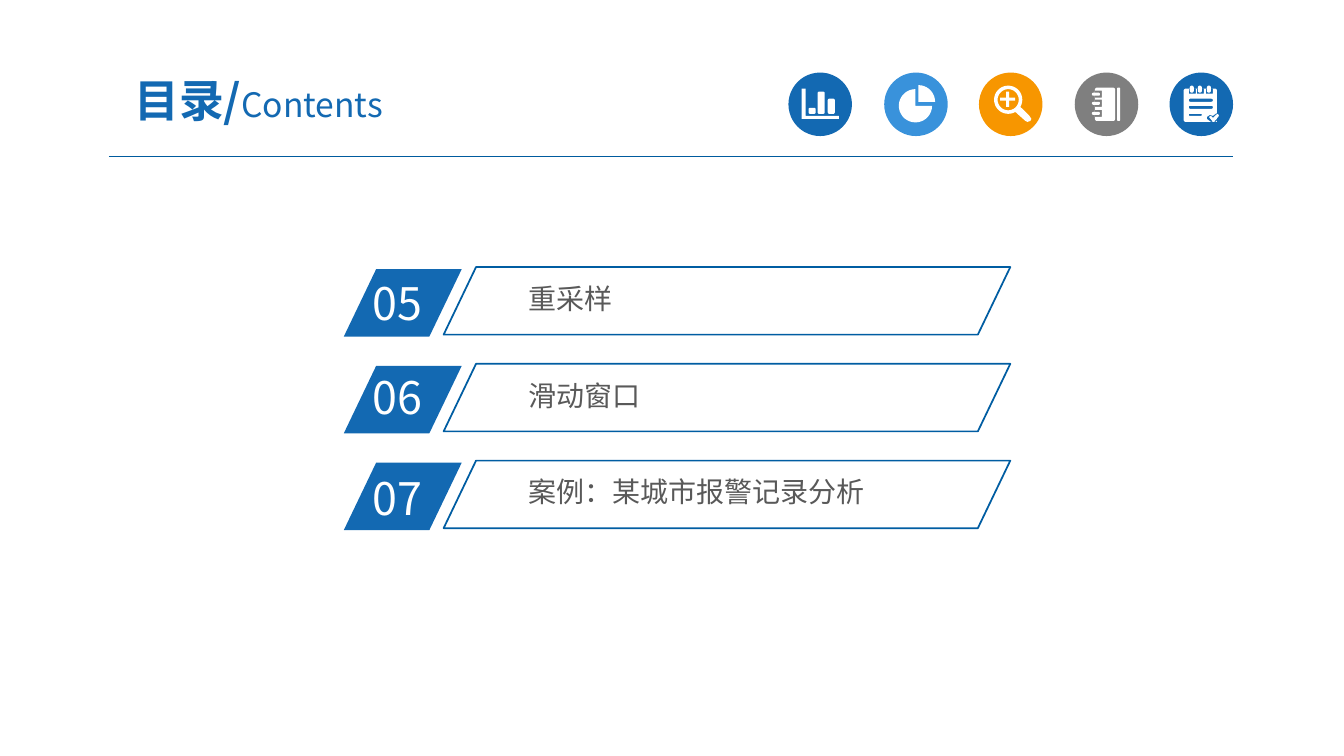
import dataclasses
import math

import lxml.etree
import pptx
import pptx.dml.color
import pptx.enum.shapes
import pptx.enum.text
import pptx.oxml.ns
import pptx.util

PX = 9144  # EMU per px, 100 px to the inch
FONT = "Noto Sans CJK SC"
COLORS = {
    "blue": "1369B2", "sky": "3992DB", "orange": "F79600", "gray": "7F7F7F",
    "rule": "005B9E", "frame": "005DA2", "text": "595959", "white": "FFFFFF",
}
SHAPE = pptx.enum.shapes.MSO_SHAPE
Contour = list[tuple[float, float]]


@dataclasses.dataclass(frozen=True)
class Badge:
    color: str
    icon: list[Contour]


@dataclasses.dataclass(frozen=True)
class Chapter:
    number: str
    name: str
    number_shift: int  # px from the top of the number plate


def px(length: float) -> pptx.util.Emu:
    return pptx.util.Emu(round(length * PX))


def rgb(color: str) -> pptx.dml.color.RGBColor:
    return pptx.dml.color.RGBColor.from_string(COLORS[color])


# Icon outlines, in px from the corner of the badge; overlaps become holes
def arc(x: float, y: float, radius: float, start: int = 0, end: int = 360) -> Contour:
    angles = [math.radians(angle) for angle in range(start, end + 1, 10)]
    return [(x + radius * math.cos(a), y + radius * math.sin(a)) for a in angles]


def bar(left: int, top: int, right: int, bottom: int, radius: float = 0) -> Contour:
    if not radius:
        return [(left, top), (right, top), (right, bottom), (left, bottom)]
    x1, x2, y1, y2 = left + radius, right - radius, top + radius, bottom - radius
    return (arc(x1, y1, radius, 180, 270) + arc(x2, y1, radius, 270, 360)
            + arc(x2, y2, radius, 0, 90) + arc(x1, y2, radius, 90, 180))


CHART = [
    [(13, 16), (17, 16), (17, 43), (50, 43), (50, 46), (13, 46)],
    bar(20, 35, 27, 41, 1.5), bar(29, 19, 36, 41, 1.5), bar(39, 26, 46, 41, 1.5),
]
PIE = [[(34, 29)] + arc(34, 29, 16.5, 270, 360), [(31, 33)] + arc(31, 33, 16.5, 0, 270)]
MAGNIFIER = [
    arc(29, 27, 14), arc(29, 27, 10.5),
    bar(21, 25, 36, 28), bar(27, 19, 30, 25), bar(27, 28, 30, 34),
    [(41, 34), (50, 43), (52, 46), (51, 48), (48, 49), (46, 48), (36, 39), (39, 37)],
]
NOTEBOOK = [bar(20, 15, 40, 48, 2), bar(42, 15, 45, 48, 1)]
for ring_top in (20, 29, 39):
    NOTEBOOK += [bar(20, ring_top - 2, 27, ring_top + 5),
                 bar(17, ring_top, 25, ring_top + 3, 1.5)]
NOTEPAD = [
    bar(14, 16, 47, 49, 2),
    bar(19, 26, 43, 29, 1.5), bar(19, 33, 43, 36, 1.5), bar(19, 41, 32, 43, 1),
    [(47, 40), (43, 43), (40, 42), (37, 44), (37, 46), (41, 49), (47, 49)],
    [(39, 44), (41, 43), (43, 45), (46, 42), (48, 41), (49, 43), (44, 49), (43, 49)],
]
for ring_left in (20, 28, 37):
    NOTEPAD += [bar(ring_left - 1, 16, ring_left + 6, 21),
                bar(ring_left, 13, ring_left + 4, 20, 2)]

BADGES = [
    Badge("blue", CHART), Badge("sky", PIE), Badge("orange", MAGNIFIER),
    Badge("gray", NOTEBOOK), Badge("blue", NOTEPAD),
]
CHAPTERS = [
    Chapter("05", "重采样", 2),
    Chapter("06", "滑动窗口", -1),
    Chapter("07", "案例：某城市报警记录分析", 3),
]


def set_font(paragraph, color: str, size: int | None = None) -> None:
    paragraph.font.name = FONT
    paragraph.font.color.rgb = rgb(color)
    if size:
        paragraph.font.size = pptx.util.Pt(size)
    defaults = paragraph._p.pPr.find(pptx.oxml.ns.qn("a:defRPr"))
    east_asian = lxml.etree.SubElement(defaults, pptx.oxml.ns.qn("a:ea"))
    east_asian.set("typeface", FONT)


def paint(shape, fill: str | None = None, line: str | None = None) -> None:
    shape.shadow.inherit = False
    if fill:
        shape.fill.solid()
        shape.fill.fore_color.rgb = rgb(fill)
    else:
        shape.fill.background()
    if line:
        shape.line.color.rgb = rgb(line)
        shape.line.width = pptx.util.Pt(1.25)
    else:
        shape.line.fill.background()


def add_shape(slide, kind: SHAPE, left: int, top: int, width: int, height: int):
    return slide.shapes.add_shape(kind, px(left), px(top), px(width), px(height))


def add_label(slide, text: str, left: int, top: int, width: int, height: int,
              size: int, color: str, inset: tuple[int, int]) -> None:
    label = slide.shapes.add_textbox(px(left), px(top), px(width), px(height))
    frame = label.text_frame
    frame.word_wrap = True
    frame.auto_size = pptx.enum.text.MSO_AUTO_SIZE.SHAPE_TO_FIT_TEXT
    frame.margin_left = frame.margin_right = px(inset[0])
    frame.margin_top = frame.margin_bottom = px(inset[1])
    frame.text = text
    set_font(frame.paragraphs[0], color, size)


def add_heading(slide) -> None:
    heading = slide.shapes.title
    heading.left, heading.top, heading.width, heading.height = map(px, (92, 63, 329, 72))
    frame = heading.text_frame
    frame.auto_size = pptx.enum.text.MSO_AUTO_SIZE.NONE
    frame.vertical_anchor = pptx.enum.text.MSO_ANCHOR.MIDDLE
    frame.margin_left = frame.margin_right = px(13)
    frame.margin_top = frame.margin_bottom = px(7)
    paragraph = frame.paragraphs[0]
    paragraph.alignment = pptx.enum.text.PP_ALIGN.CENTER
    set_font(paragraph, "blue")
    for text, size, bold in (("目录/", 32, True), ("Contents", 24, False)):
        run = paragraph.add_run()
        run.text = text
        run.font.size = pptx.util.Pt(size)
        run.font.bold = bold


def add_rule(slide) -> None:
    rule = slide.shapes.add_connector(
        pptx.enum.shapes.MSO_CONNECTOR.STRAIGHT, px(108), px(155), px(1223), px(155))
    rule.line.color.rgb = rgb("rule")
    rule.line.width = pptx.util.Pt(0.75)
    properties = rule._element.spPr
    lxml.etree.SubElement(properties, pptx.oxml.ns.qn("a:effectLst"))


def add_badge(slide, badge: Badge, left: int, top: int) -> None:
    paint(add_shape(slide, SHAPE.OVAL, left, top, 63, 63), badge.color)
    outlines = [[(px(left + x), px(top + y)) for x, y in contour] for contour in badge.icon]
    builder = slide.shapes.build_freeform(*outlines[0][0])
    for index, outline in enumerate(outlines):
        if index:
            builder.move_to(*outline[0])
        builder.add_line_segments(outline[1:], close=True)
    paint(builder.convert_to_shape(), "white")


def add_chapter(slide, chapter: Chapter, top: int) -> None:
    plate = add_shape(slide, SHAPE.PARALLELOGRAM, 341, top, 117, 67)
    paint(plate, fill="blue")
    add_label(slide, chapter.number, 360, top + chapter.number_shift, 112, 64,
              32, "white", (10, 5))
    add_label(slide, chapter.name, 517, top + 8, 412, 41, 20, "text", (7, 4))
    border = add_shape(slide, SHAPE.PARALLELOGRAM, 440, top - 2, 562, 67)
    paint(border, line="frame")
    plate.adjustments[0] = border.adjustments[0] = 0.48


def main() -> None:
    deck = pptx.Presentation()
    deck.slide_width, deck.slide_height = px(1333), px(750)
    slide = deck.slides.add_slide(deck.slide_layouts.get_by_name("Title Only"))

    # Header
    add_rule(slide)
    for index, badge in enumerate(BADGES):
        add_badge(slide, badge, 782 + (189 * index + 1) // 2, 72)
    add_heading(slide)

    # Chapter list
    for index, chapter in enumerate(CHAPTERS):
        add_chapter(slide, chapter, 267 + 96 * index)

    deck.save("out.pptx")


if __name__ == "__main__":
    main()
